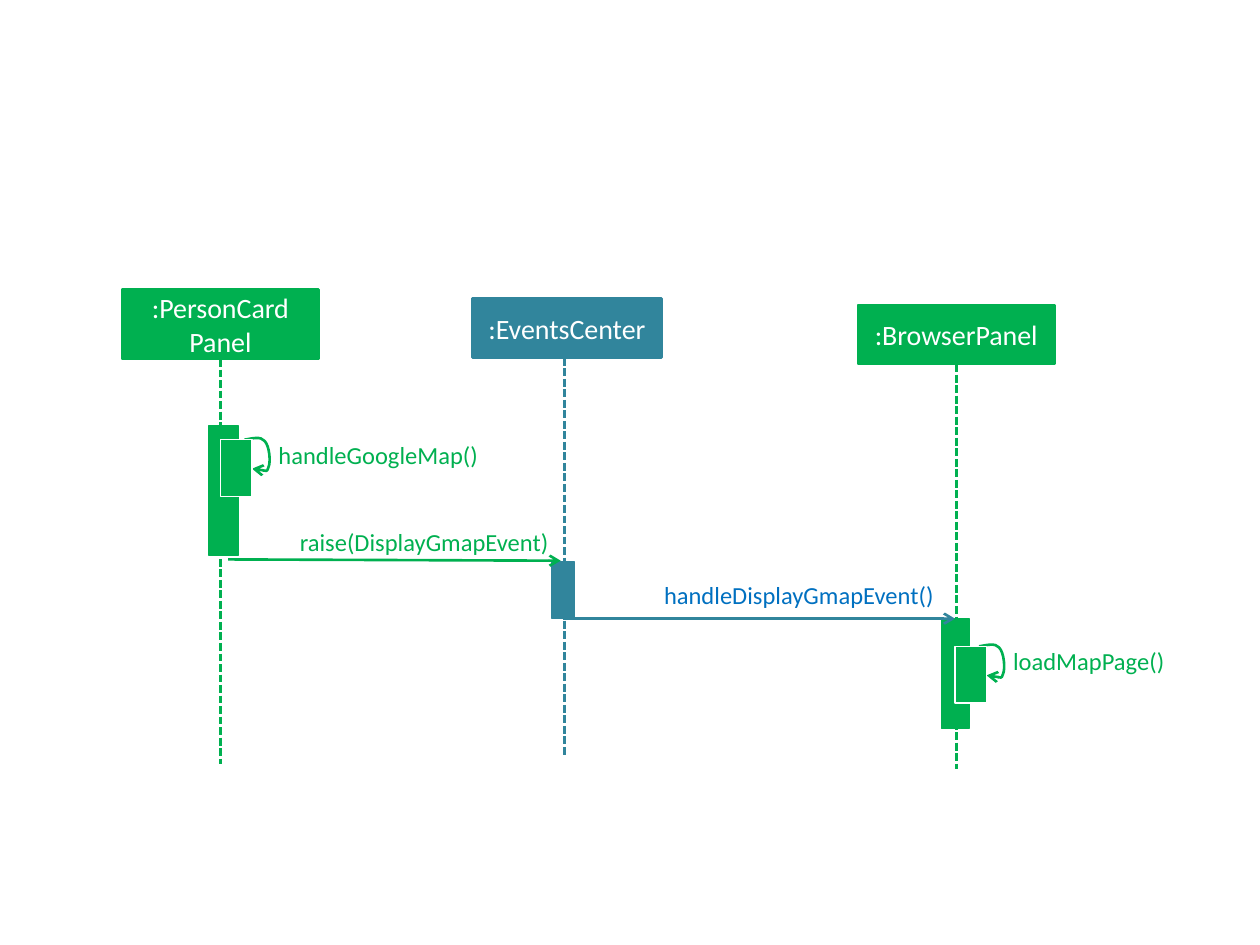
from lxml.etree import SubElement
from pptx import Presentation
from pptx.dml.color import RGBColor
from pptx.enum.dml import MSO_LINE
from pptx.enum.shapes import MSO_CONNECTOR, MSO_SHAPE
from pptx.enum.text import MSO_ANCHOR, MSO_AUTO_SIZE, PP_ALIGN
from pptx.oxml.ns import qn
from pptx.util import Inches, Pt

GREEN, TEAL, BLUE, WHITE = "00B050", "31859C", "0070C0", "FFFFFF"
FONT = "Calibri"

# Bezier points of the self-call loop, relative to its bar; the arrowhead is at the first
LOOP = [(0.25, 0.23),
        (0.31, 0.24), (0.37, 0.26), (0.38, 0.22),
        (0.40, 0.18), (0.39, 0.05), (0.35, 0.01),
        (0.32, -0.03), (0.25, -0.01), (0.19, 0)]


def color(hex_code):
    return RGBColor.from_string(hex_code)


def style_text(frame, size, hex_code, align):
    for para in frame.paragraphs:
        para.alignment = align
        for span in para.runs:
            span.font.size = Pt(size)
            span.font.name = FONT
            span.font.color.rgb = color(hex_code)


def style_line(line, hex_code, width=1.5, arrow_end=None):
    """arrow_end is "headEnd" (start of the line), "tailEnd" (its end) or None."""
    line.color.rgb = color(hex_code)
    line.width = Pt(width)
    if arrow_end:
        SubElement(line._get_or_add_ln(), qn("a:" + arrow_end), type="arrow")


def add_bar(shapes, place, fill, outline, width=0.75):
    bar = shapes.add_shape(MSO_SHAPE.RECTANGLE, *map(Inches, place))
    bar.shadow.inherit = False
    bar.fill.solid()
    bar.fill.fore_color.rgb = color(fill)
    style_line(bar.line, outline, width)
    return bar


def add_line(shapes, start, end, hex_code, arrow_end=None):
    line = shapes.add_connector(MSO_CONNECTOR.STRAIGHT, *map(Inches, start + end))
    style_line(line.line, hex_code, arrow_end=arrow_end)
    SubElement(line._element.spPr, qn("a:effectLst"))
    return line


def add_label(shapes, text, left, top, width, hex_code):
    box = shapes.add_textbox(*map(Inches, (left, top, width, 0.24)))
    frame = box.text_frame
    frame.word_wrap = True
    frame.auto_size = MSO_AUTO_SIZE.SHAPE_TO_FIT_TEXT
    frame.margin_left = frame.margin_right = frame.margin_top = frame.margin_bottom = 0
    frame.text = text
    style_text(frame, 14, hex_code, PP_ALIGN.LEFT)


def add_participant(shapes, name, head, axis, bottom, activation, hex_code):
    """Draw the head box, the dashed lifeline at x = axis and the activation bar."""
    box = add_bar(shapes, head, hex_code, hex_code, 1.5)
    frame = box.text_frame
    frame.word_wrap = True
    frame.vertical_anchor = MSO_ANCHOR.MIDDLE
    frame.text = name
    style_text(frame, 16, WHITE, PP_ALIGN.CENTER)
    lifeline = add_line(shapes, (axis, head[1] + head[3]), (axis, bottom), hex_code)
    lifeline.line.dash_style = MSO_LINE.SQUARE_DOT
    add_bar(shapes, activation, hex_code, hex_code)


def add_curve(shapes, points, hex_code):
    """Draw a cubic Bezier: a start, then two control points and an end per segment."""
    # The builder rounds coordinates to whole units, so they are given in EMU
    start, *others = [(Inches(x), Inches(y)) for x, y in points]
    builder = shapes.build_freeform(*start)
    builder.add_line_segments(others, close=False)
    curve = builder.convert_to_shape()
    outline = curve._element.spPr.find(".//" + qn("a:path"))
    steps = outline.findall(qn("a:lnTo"))
    for first in range(0, len(steps), 3):
        segment = SubElement(outline, qn("a:cubicBezTo"))
        for step in steps[first:first + 3]:
            segment.append(step[0])
            outline.remove(step)
    curve.shadow.inherit = False
    curve.fill.background()
    style_line(curve.line, hex_code, arrow_end="headEnd")


def add_self_call(shapes, text, left, top, label_width):
    group = shapes.add_group_shape()
    add_curve(group.shapes, [(left + x, top + y) for x, y in LOOP], GREEN)
    add_bar(group.shapes, (left, top, 0.25, 0.45), GREEN, WHITE)
    add_label(shapes, text, left + 0.46, top, label_width, GREEN)


def main():
    deck = Presentation()
    deck.slide_width, deck.slide_height = Inches(10), Inches(7.5)
    shapes = deck.slides.add_slide(deck.slide_layouts[6]).shapes

    add_participant(shapes, ":BrowserPanel", (6.81, 2.42, 1.56, 0.47),
                    7.59, 6.1, (7.47, 4.91, 0.22, 0.87), GREEN)
    add_participant(shapes, ":EventsCenter", (3.75, 2.37, 1.5, 0.47),
                    4.48, 6, (4.38, 4.46, 0.18, 0.45), TEAL)
    add_participant(shapes, ":PersonCard\nPanel", (0.97, 2.3, 1.56, 0.55),
                    1.75, 6.06, (1.66, 3.38, 0.23, 1.03), GREEN)

    add_line(shapes, (1.81, 4.44), (4.45, 4.45), GREEN, "tailEnd")
    add_label(shapes, "raise(DisplayGmapEvent)", 2.38, 4.18, 2.07, GREEN)
    add_line(shapes, (4.47, 4.91), (7.58, 4.91), TEAL, "tailEnd")
    add_label(shapes, "handleDisplayGmapEvent()", 5.27, 4.6, 2.31, BLUE)

    add_self_call(shapes, "handleGoogleMap()", 1.75, 3.49, 1.59)
    add_self_call(shapes, "loadMapPage()", 7.58, 5.13, 1.29)

    deck.save("out.pptx")


if __name__ == "__main__":
    main()
